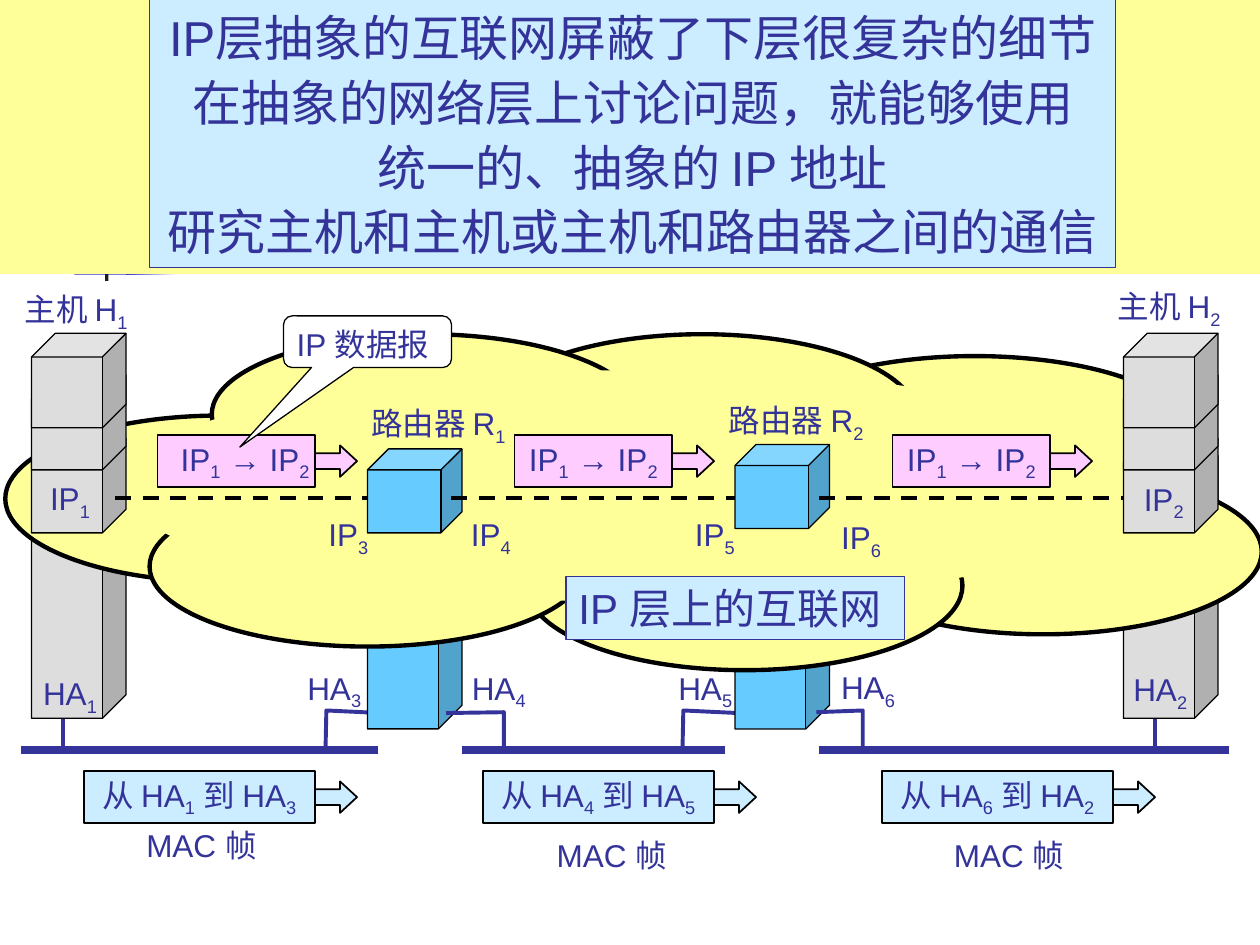
from lxml.etree import SubElement
from pptx import Presentation
from pptx.dml.color import RGBColor
from pptx.enum.dml import MSO_LINE
from pptx.enum.shapes import MSO_CONNECTOR, MSO_SHAPE
from pptx.enum.text import MSO_ANCHOR, MSO_AUTO_SIZE, PP_ALIGN
from pptx.oxml.ns import qn
from pptx.util import Pt

INK, BLACK, YELLOW, ICE, PINK = "333399", "000000", "FFFF99", "CCECFF", "FFCCFF"
GREY, BLUE = "DDDDDD", "66CCFF"

# Content; digits in braces are subscripts
HEADLINE = [
    "IP层抽象的互联网屏蔽了下层很复杂的细节",
    "在抽象的网络层上讨论问题，就能够使用",
    "统一的、抽象的 IP 地址",
    "研究主机和主机或主机和路由器之间的通信",
]
LABELS = [  # text, left, top, width
    ("IP{1}", 21.5, 270, 37), ("IP{2}", 646.5, 270.5, 37),
    ("IP{3}", 180.5, 291, 37), ("IP{4}", 262, 291, 37),
    ("IP{5}", 390, 291, 37), ("IP{6}", 473.5, 292.5, 37),
    ("HA{1}", 17.5, 381.5, 45.5), ("HA{2}", 640.5, 379.5, 45.5),
    ("HA{3}", 168.5, 378.5, 45.5), ("HA{4}", 262.5, 378.5, 45.5),
    ("HA{5}", 380.5, 378.5, 45.5), ("HA{6}", 473.5, 378, 45.5),
    ("主机 H{1}", 7, 162, 82), ("主机 H{2}", 631.5, 160.5, 82),
    ("路由器 R{1}", 205, 227.5, 100), ("路由器 R{2}", 409.5, 225.5, 100),
    ("MAC 帧", 76.5, 468.5, 81.5), ("MAC 帧", 311, 474, 81.5),
    ("MAC 帧", 538, 474, 81.5),
]
DATAGRAM = "IP{1} → IP{2}"
DATAGRAM_LEFTS = [90, 294, 510]
FRAMES = ["从 HA{1} 到 HA{3}", "从 HA{4} 到 HA{5}", "从 HA{6} 到 HA{2}"]

HOST_LEFTS = [18, 642]
HOST_LAYER_TOPS = [250.5, 214.5, 190.5]
ROUTERS = [  # left, lower top, lower height, upper top
    (210, 266.5, 150, 256.5), (420, 284.5, 132, 254)]
CLOUD_LOBES = [
    (471, 268, 250, 94.5), (3, 237.5, 245.5, 95), (432, 203.5, 250, 91.5),
    (301, 286.5, 249, 96.5), (85.5, 278, 249, 91.5),
    (278.5, 191, 245.5, 95), (121, 191, 245, 91.5)]
CLOUD_CORE = (68.5, 211.5, 595.5, 132.5)
LAN_Y, IP_Y = 428.5, 284.5
LANS = [(12, 216), (264, 414), (468, 702)]
IP_HOPS = [(66, 210), (258, 420), (468, 642)]
HOST_LINKS = [36, 660]
LEFT_ADAPTERS = [[(x, LAN_Y), (x + 0.5, 406), (x + 31.5, 407.5)] for x in (186, 390)]
RIGHT_ADAPTERS = [[(493, LAN_Y), (493, 406), (466.5, 407)],
                  [(288, LAN_Y), (288, 407), (255, 407.5)]]

deck = Presentation()
deck.slide_width, deck.slide_height = Pt(720), Pt(540)
slide = deck.slides.add_slide(deck.slide_layouts[6])
shapes = slide.shapes


def color(value):
    return RGBColor.from_string(value)


def apply(target, formats):
    for name, value in formats.items():
        setattr(target, name, value)


def outline(line, line_color, width):
    if line_color is None:
        line.fill.background()
    else:
        line.color.rgb = color(line_color)
        line.width = Pt(width)


def add_block(kind, box, fill, line_color=BLACK, width=0.75, adjust=()):
    block = shapes.add_shape(kind, *map(Pt, box))
    block.shadow.inherit = False
    block.fill.solid()
    block.fill.fore_color.rgb = color(fill)
    outline(block.line, line_color, width)
    for index, value in enumerate(adjust):
        block.adjustments[index] = value
    return block


def add_cube(left, top, height, fill):
    add_block(MSO_SHAPE.CUBE, (left, top, 54, height), fill, adjust=[0.25])


def add_line(start, end, line_color, width, dash=None):
    line = shapes.add_connector(MSO_CONNECTOR.STRAIGHT, *map(Pt, start + end))
    SubElement(line._element.spPr, qn("a:effectLst"))
    outline(line.line, line_color, width)
    line.line.dash_style = dash


def add_adapter(points):
    builder = shapes.build_freeform(Pt(points[0][0]), Pt(points[0][1]))
    builder.add_line_segments([(Pt(x), Pt(y)) for x, y in points[1:]], close=False)
    adapter = builder.convert_to_shape()
    adapter.shadow.inherit = False
    adapter.fill.background()
    outline(adapter.line, INK, 2.25)


def write(holder, lines, size=18, align=PP_ALIGN.LEFT, spacing=None, **frame_formats):
    frame = holder.text_frame
    apply(frame, {"word_wrap": False, "vertical_anchor": MSO_ANCHOR.TOP,
                  "margin_left": Pt(7.2), "margin_right": Pt(7.2),
                  "margin_top": Pt(3.6), "margin_bottom": Pt(3.6),
                  "auto_size": MSO_AUTO_SIZE.SHAPE_TO_FIT_TEXT, **frame_formats})
    for number, text in enumerate(lines):
        paragraph = frame.add_paragraph() if number else frame.paragraphs[0]
        apply(paragraph, {"alignment": align, "line_spacing": spacing})
        for piece_number, piece in enumerate(text.replace("}", "{").split("{")):
            if not piece:
                continue
            run = paragraph.add_run()
            run.text = piece
            apply(run.font, {"size": Pt(size), "name": "Arial"})
            run.font.color.rgb = color(INK)
            if piece_number % 2:
                run.font._element.set("baseline", "-25000")


def add_label(text, left, top, width, height):
    label = shapes.add_textbox(*map(Pt, (left, top, width, height)))
    write(label, [text], word_wrap=True, auto_size=MSO_AUTO_SIZE.NONE,
          margin_right=Pt(0))


def add_packet(text, left, top, width, fill, margin_left=7.2):
    packet = add_block(MSO_SHAPE.RECTANGLE, (left, top, width, 30), fill, width=1)
    write(packet, [text], align=PP_ALIGN.CENTER, vertical_anchor=MSO_ANCHOR.MIDDLE,
          auto_size=MSO_AUTO_SIZE.NONE, margin_left=Pt(margin_left))
    add_block(MSO_SHAPE.RIGHT_ARROW, (left + width, top + 6, 24, 18), fill,
              width=1, adjust=[0.5, 0.54])


# Decoration behind the headline band
add_block(MSO_SHAPE.RECTANGLE, (42.5, 119.5, 29.5, 37.5), "3333CC", None)
fade = add_block(MSO_SHAPE.RECTANGLE, (72, 119.5, 29, 37.5), "3333CC", None)
fade.fill.gradient()
fade.fill.gradient_angle = 0
for stop, stop_color in zip(fade.fill.gradient_stops, ("3333CC", "FFFFFF")):
    stop.color.rgb = color(stop_color)
add_block(MSO_SHAPE.RECTANGLE, (60, 78, 2, 82.5), "1C1C1C", None)

# Links and lower parts of hosts and routers
for points in LEFT_ADAPTERS:
    add_adapter(points)
for x in HOST_LINKS:
    add_line((x, LAN_Y), (x, 386.5), INK, 2.25)
for left in HOST_LEFTS:
    add_cube(left, 260.5, 150, GREY)
for left, top, height, _ in ROUTERS:
    add_cube(left, top, height, BLUE)

# Cloud
for lobe in CLOUD_LOBES:
    add_block(MSO_SHAPE.OVAL, lobe, YELLOW, width=2.5)
add_block(MSO_SHAPE.OVAL, CLOUD_CORE, YELLOW, None)

# Upper parts, networks and the path on the IP layer
for left in HOST_LEFTS:
    for top in HOST_LAYER_TOPS:
        add_cube(left, top, 54, GREY)
for left, _, _, top in ROUTERS:
    add_cube(left, top, 48, BLUE)
for start, end in LANS:
    add_line((start, LAN_Y), (end, LAN_Y), INK, 4.5)
for start, end in IP_HOPS:
    add_line((start, IP_Y), (end, IP_Y), BLACK, 2.25, MSO_LINE.DASH)
for points in RIGHT_ADAPTERS:
    add_adapter(points)

# Labels
for text, left, top, width in LABELS:
    add_label(text, left, top, width, 31.5 if "{" in text else 29)
internet = add_block(MSO_SHAPE.RECTANGLE, (323.5, 329.5, 193.5, 36), ICE, INK)
write(internet, ["IP 层上的互联网"], size=24)

# Datagrams and frames
for number, left in enumerate(DATAGRAM_LEFTS):
    add_packet(DATAGRAM, left, 248.5, 90, PINK, 7.2 if number else 17.2)
for number, text in enumerate(FRAMES):
    add_packet(text, 48 + 228 * number, 440.5, 132, ICE)
add_block(MSO_SHAPE.ROUNDED_RECTANGULAR_CALLOUT, (162, 180.5, 96, 29.5), "FFFFFF",
          adjust=[-0.76, 2.04, 0.17])
add_label("IP 数据报", 162.5, 182, 94.5, 29)

# Headline
add_block(MSO_SHAPE.RECTANGLE, (0, 0, 720, 156.5), YELLOW, None)
headline = add_block(MSO_SHAPE.RECTANGLE, (85.5, -2.5, 552, 155.5), ICE, INK)
write(headline, HEADLINE, size=28, align=PP_ALIGN.CENTER, spacing=1.1)

deck.save("out.pptx")
